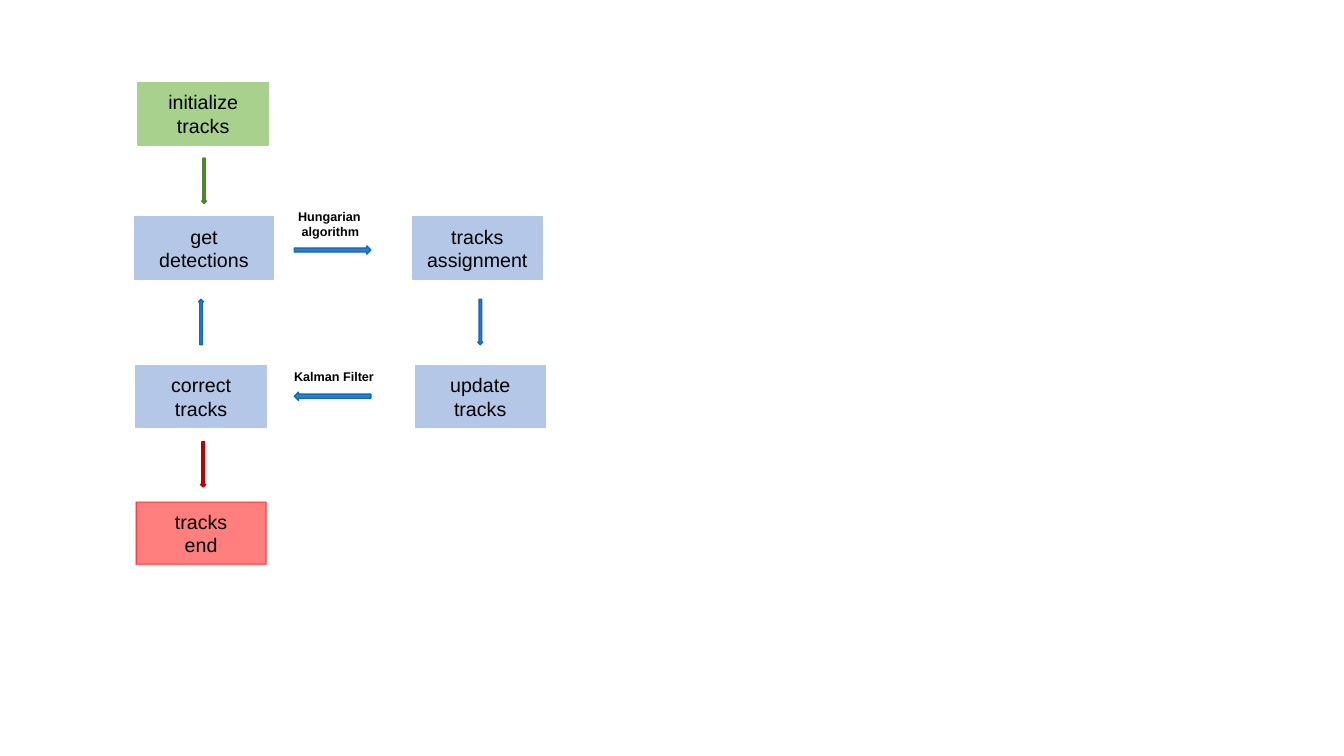
from pptx import Presentation
from pptx.dml.color import RGBColor
from pptx.enum import shapes, text
from pptx.oxml import xmlchemy
from pptx.util import Pt

BLACK = RGBColor(0x00, 0x00, 0x00)
GREEN = RGBColor(0xA9, 0xD1, 0x8E)
DARK_GREEN = RGBColor(0x54, 0x82, 0x35)
PALE_BLUE = RGBColor(0xB4, 0xC7, 0xE7)
BLUE = RGBColor(0x44, 0x72, 0xC4)
BRIGHT_BLUE = RGBColor(0x00, 0x70, 0xC0)
RED = RGBColor(0xFF, 0x00, 0x00)
DARK_RED = RGBColor(0xC0, 0x00, 0x00)

STEP_WIDTH, STEP_HEIGHT = 92.9, 44.6
RIGHT, DOWN, LEFT, UP = 0, 90, 180, 270
ROWS = (0, 95.8, 202, 299.6)


def paint(part, fill, line, opacity=100):
    """Give a shape its fill and one-point line, without shadow."""
    part.shadow.inherit = False
    part.fill.solid()
    part.fill.fore_color.rgb = fill
    part.line.color.rgb = line
    part.line.width = Pt(1)
    if opacity < 100:
        for colour in part._element.spPr.xpath(".//a:srgbClr"):
            alpha = xmlchemy.OxmlElement("a:alpha")
            alpha.set("val", str(opacity * 1000))
            colour.append(alpha)


def write(frame, lines, size, align, bold=False):
    """Write one paragraph for each line."""
    for index, words in enumerate(lines):
        paragraph = frame.add_paragraph() if index else frame.paragraphs[0]
        paragraph.alignment = align
        run = paragraph.add_run()
        run.text = words
        run.font.name = "Arial"
        run.font.size = Pt(size)
        run.font.bold = bold
        run.font.color.rgb = BLACK


def add_step(flow, left, top, lines, fill, width=STEP_WIDTH, opacity=100):
    """Draw one step of the tracking loop."""
    step = flow.shapes.add_shape(shapes.MSO_SHAPE.RECTANGLE, Pt(left), Pt(top),
                                 Pt(width), Pt(STEP_HEIGHT))
    paint(step, fill, fill, opacity)
    step.text_frame.word_wrap = True
    step.text_frame.vertical_anchor = text.MSO_ANCHOR.MIDDLE
    write(step.text_frame, lines, 14, text.PP_ALIGN.CENTER)


def add_arrow(flow, center_x, center_y, direction, fill=BLUE, line=BRIGHT_BLUE):
    """Draw a block arrow around its centre, turned to its direction."""
    length, thickness = (54.7, 5.8) if direction in (RIGHT, LEFT) else (32.4, 3.6)
    arrow = flow.shapes.add_shape(shapes.MSO_SHAPE.RIGHT_ARROW,
                                  Pt(center_x - length / 2), Pt(center_y - thickness / 2),
                                  Pt(length), Pt(thickness))
    arrow.rotation = direction
    paint(arrow, fill, line)


def add_method(flow, left, top, width, height, lines):
    """Name the method used along a horizontal arrow."""
    method = flow.shapes.add_textbox(Pt(left), Pt(top), Pt(width), Pt(height))
    method.text_frame.word_wrap = False
    method.text_frame.auto_size = text.MSO_AUTO_SIZE.SHAPE_TO_FIT_TEXT
    write(method.text_frame, lines, 9, text.PP_ALIGN.LEFT, bold=True)


def add_tracking_flow(slide, left, top):
    """Lay out the whole tracking flow from its top left corner."""
    flow = slide.shapes.add_group_shape()
    start, detect, correct, end = (top + row for row in ROWS)

    add_step(flow, left + 2.7, start, ["initialize tracks"], GREEN)
    add_step(flow, left, detect, ["get detections"], PALE_BLUE, width=99.4)
    add_step(flow, left + 198.5, detect, ["tracks assignment"], PALE_BLUE)
    add_step(flow, left + 200.6, correct, ["update", "tracks"], PALE_BLUE)
    add_step(flow, left + 1.2, correct, ["correct", "tracks"], PALE_BLUE)
    add_step(flow, left + 1.2, end, ["tracks", "end"], RED, opacity=50)

    add_arrow(flow, left + 49.8, top + 70.2, DOWN, DARK_GREEN, DARK_GREEN)
    add_arrow(flow, left + 141.6, top + 119.6, RIGHT)
    add_arrow(flow, left + 247.1, top + 171, DOWN)
    add_arrow(flow, left + 141.6, top + 224, LEFT)
    add_arrow(flow, left + 47.6, top + 171, UP)
    add_arrow(flow, left + 49.1, top + 272.6, DOWN, DARK_RED, DARK_RED)

    add_method(flow, left + 109.9, top + 86.4, 59.8, 28.8, ["Hungarian", " algorithm"])
    add_method(flow, left + 107, top + 200.9, 72, 18, ["Kalman Filter"])


deck = Presentation()
deck.slide_width, deck.slide_height = Pt(960), Pt(540)
tracking = deck.slides.add_slide(deck.slide_layouts[6])
add_tracking_flow(tracking, 96, 59)
deck.save("out.pptx")
